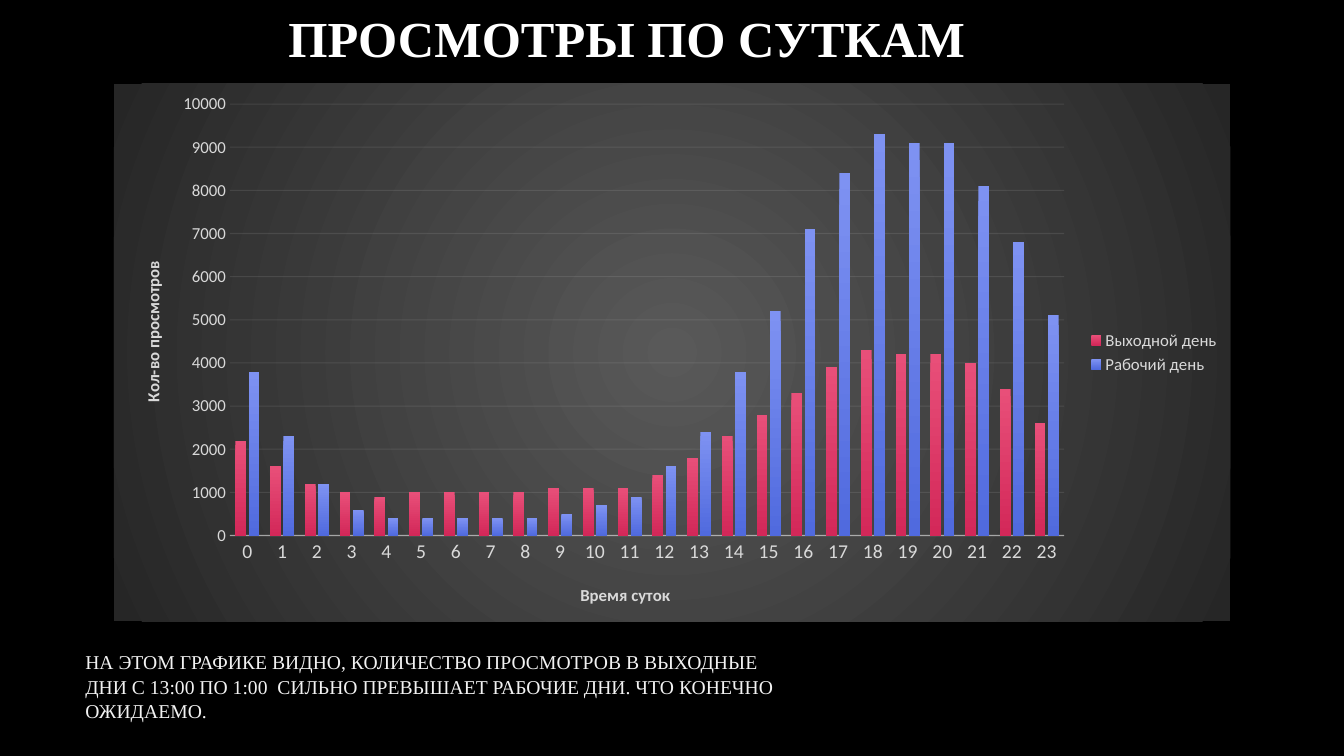
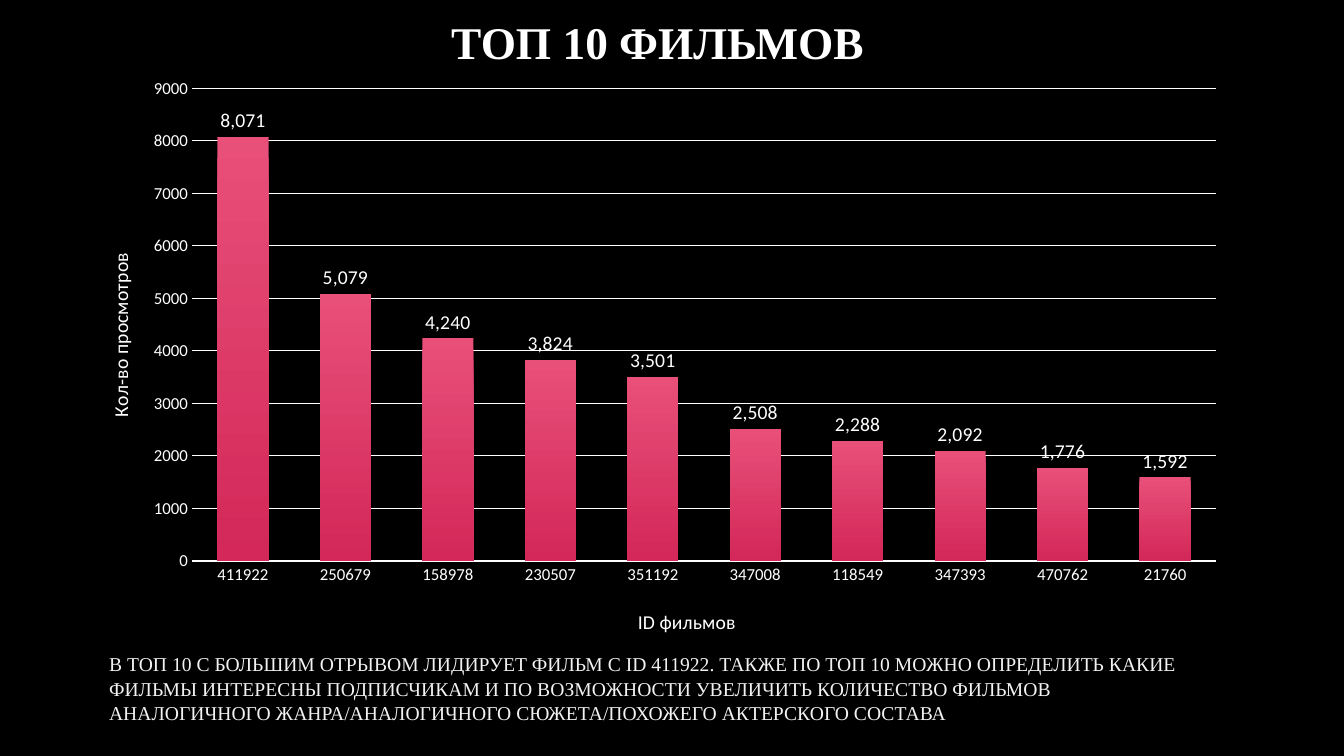
from dataclasses import dataclass
from typing import NamedTuple

from lxml.etree import SubElement
from pptx import Presentation
from pptx.chart.data import CategoryChartData
from pptx.dml.color import RGBColor
from pptx.enum.chart import XL_CHART_TYPE, XL_LABEL_POSITION, XL_LEGEND_POSITION, XL_TICK_MARK
from pptx.enum.text import MSO_ANCHOR, PP_ALIGN
from pptx.oxml import parse_xml
from pptx.oxml.ns import nsdecls, qn
from pptx.util import Cm, Pt


@dataclass(frozen=True)
class Theme:
    background: str = "000000"
    title: str = "FFFFFF"
    caption: str = "F2F2F2"
    pink: tuple = ("E84F79", "D32859")
    blue: tuple = ("7E92F2", "506ADE")
    panel: tuple = ("595959", "262626")
    text_font: str = "Times New Roman"
    chart_font: str = "Calibri"
    caption_size: float = 14
    label_size: float = 12
    large_label_size: float = 14


THEME = Theme()


class ChartStyle(NamedTuple):
    """Look of one chart; places are fractions of the chart frame."""
    text: str
    line: str
    axis_alpha: int
    grid_alpha: int
    category_size: float
    title_size: float
    title_bold: bool
    maximum: int
    plot_place: tuple
    category_title_place: tuple
    value_title_place: tuple


HOURS_STYLE = ChartStyle("D9D9D9", "F2F2F2", 54, 10, THEME.large_label_size,
                         THEME.label_size, True, 10000,
                         (0.104, 0.038, 0.747, 0.803), (0.415, 0.925), (0.022, 0.324))
FILMS_STYLE = ChartStyle("FFFFFF", "FFFFFF", 100, 100, THEME.label_size,
                         THEME.large_label_size, False, 9000,
                         (0.1, 0.036, 0.88, 0.814), (0.48, 0.925), (0.024, 0.313))

HOURS = [str(hour) for hour in range(24)]
WEEKEND_VIEWS = [2200, 1600, 1200, 1000, 900, 1000, 1000, 1000, 1000, 1100, 1100, 1100,
                 1400, 1800, 2300, 2800, 3300, 3900, 4300, 4200, 4200, 4000, 3400, 2600]
WORKDAY_VIEWS = [3800, 2300, 1200, 600, 400, 400, 400, 400, 400, 500, 700, 900,
                 1600, 2400, 3800, 5200, 7100, 8400, 9300, 9100, 9100, 8100, 6800, 5100]
FILM_VIEWS = {"411922": 8071, "250679": 5079, "158978": 4240, "230507": 3824,
              "351192": 3501, "347008": 2508, "118549": 2288, "347393": 2092,
              "470762": 1776, "21760": 1592}


def style_font(font, name, size, color, bold=False):
    font.name = name
    font.size = Pt(size)
    font.bold = bold
    font.color.rgb = RGBColor.from_string(color)


# Page and text
def add_page(deck):
    page = deck.slides.add_slide(deck.slide_layouts[6])
    fill = page.background.fill
    fill.solid()
    fill.fore_color.rgb = RGBColor.from_string(THEME.background)
    return page


def add_text(page, place, text, size, color, bold=False, align=PP_ALIGN.LEFT, spacing=1.0):
    box = page.shapes.add_textbox(*map(Cm, place))
    frame = box.text_frame
    frame.word_wrap = True
    frame.vertical_anchor = MSO_ANCHOR.MIDDLE
    para = frame.paragraphs[0]
    para.alignment = align
    para.line_spacing = spacing
    span = para.add_run()
    span.text = text
    style_font(span.font, THEME.text_font, size, color, bold)


def add_title(page, place, text, size):
    add_text(page, place, text, size, THEME.title, True, PP_ALIGN.CENTER)


def add_caption(page, place, text):
    add_text(page, place, text, THEME.caption_size, THEME.caption, spacing=1.04)


# Chart parts
def set_layout(parent, position, place, inner=False):
    """Fix a chart part at fractions of the chart frame."""
    old = parent.find(qn("c:layout"))
    if old is not None:
        parent.remove(old)
    layout = parse_xml(f"<c:layout {nsdecls('c')}><c:manualLayout/></c:layout>")
    manual = layout[0]
    settings = [("layoutTarget", "inner")] if inner else []
    settings += [("xMode", "edge"), ("yMode", "edge")]
    settings += zip("xywh", place)
    for name, value in settings:
        SubElement(manual, qn(f"c:{name}")).set("val", str(value))
    parent.insert(position, layout)


def style_line(line, color, width, alpha):
    line.width = Pt(width)
    line.fill.solid()
    line.fill.fore_color.rgb = RGBColor.from_string(color)
    if alpha < 100:
        for node in line._get_or_add_ln().iter(qn("a:srgbClr")):
            SubElement(node, qn("a:alpha")).set("val", str(alpha * 1000))


def style_axis(axis, title, title_place, label_size, style, rotation):
    axis.major_tick_mark = axis.minor_tick_mark = XL_TICK_MARK.NONE
    style_font(axis.tick_labels.font, THEME.chart_font, label_size, style.text)
    axis_title = axis.axis_title
    span = axis_title.text_frame.paragraphs[0].add_run()
    span.text = title
    style_font(span.font, THEME.chart_font, style.title_size, style.text, style.title_bold)
    for body in axis_title._element.iter(qn("a:bodyPr")):
        body.set("rot", str(rotation * 60000))
    set_layout(axis_title._element, 1, title_place)


def fill_series(series, colors):
    fill = series.format.fill
    fill.gradient()
    fill.gradient_angle = 270
    for stop, color in zip(fill.gradient_stops, colors):
        stop.color.rgb = RGBColor.from_string(color)


def add_panel(chart):
    """Give the chart a background that darkens from its centre."""
    inside, outside = THEME.panel
    panel = parse_xml(
        f'<c:spPr {nsdecls("c", "a")}><a:gradFill><a:gsLst>'
        f'<a:gs pos="0"><a:srgbClr val="{inside}"/></a:gs>'
        f'<a:gs pos="100000"><a:srgbClr val="{outside}"/></a:gs></a:gsLst>'
        '<a:path path="circle"><a:fillToRect l="50000" t="50000" r="50000" b="50000"/>'
        '</a:path></a:gradFill><a:ln><a:noFill/></a:ln></c:spPr>')
    chart._chartSpace.find(qn("c:chart")).addnext(panel)


def add_legend(chart, style):
    chart.has_legend = True
    chart.legend.position = XL_LEGEND_POSITION.RIGHT
    chart.legend.include_in_layout = False
    style_font(chart.legend.font, THEME.chart_font, THEME.label_size, style.text)


def add_value_labels(plot, style):
    plot.has_data_labels = True
    labels = plot.data_labels
    labels.show_value = True
    labels.position = XL_LABEL_POSITION.OUTSIDE_END
    labels.number_format = "#,##0"
    labels.number_format_is_linked = False
    style_font(labels.font, THEME.chart_font, THEME.large_label_size, style.text)


def add_column_chart(page, place, categories, series_rows, category_title, style):
    data = CategoryChartData()
    data.categories = categories
    for name, values, _ in series_rows:
        data.add_series(name, values)
    chart = page.shapes.add_chart(XL_CHART_TYPE.COLUMN_CLUSTERED, *map(Cm, place), data).chart
    chart.has_title = False
    chart.has_legend = False
    style_font(chart.font, THEME.chart_font, 10, style.text)

    plot = chart.plots[0]
    plot.gap_width = 100
    plot.overlap = -24
    plot.vary_by_categories = False
    for series, (_, _, colors) in zip(plot.series, series_rows):
        fill_series(series, colors)

    style_axis(chart.category_axis, category_title, style.category_title_place,
               style.category_size, style, 0)
    style_line(chart.category_axis.format.line, style.line, 1, style.axis_alpha)
    value_axis = chart.value_axis
    style_axis(value_axis, "Кол-во просмотров", style.value_title_place,
               THEME.label_size, style, -90)
    value_axis.minimum_scale = 0
    value_axis.maximum_scale = style.maximum
    value_axis.major_unit = 1000
    value_axis.format.line.fill.background()
    style_line(value_axis.major_gridlines.format.line, style.line, 0.75, style.grid_alpha)
    set_layout(chart._chartSpace.find(".//" + qn("c:plotArea")), 0, style.plot_place, True)
    return chart


# Slides
def build_hours_page(deck):
    page = add_page(deck)
    add_title(page, (1.73, 0, 28.14, 1.9), "ПРОСМОТРЫ ПО СУТКАМ", 36)
    rows = [("Выходной день", WEEKEND_VIEWS, THEME.pink),
            ("Рабочий день", WORKDAY_VIEWS, THEME.blue)]
    chart = add_column_chart(page, (2.87, 2.11, 28.14, 13.54), HOURS, rows,
                             "Время суток", HOURS_STYLE)
    add_panel(chart)
    add_legend(chart, HOURS_STYLE)
    add_caption(page, (1.9, 16.33, 18.31, 1.9),
                "НА ЭТОМ ГРАФИКЕ ВИДНО, КОЛИЧЕСТВО ПРОСМОТРОВ В ВЫХОДНЫЕ ДНИ С 13:00 "
                "ПО 1:00  СИЛЬНО ПРЕВЫШАЕТ РАБОЧИЕ ДНИ. ЧТО КОНЕЧНО ОЖИДАЕМО.")


def build_films_page(deck):
    page = add_page(deck)
    add_title(page, (2.5, 0.33, 28.14, 1.45), "ТОП 10 ФИЛЬМОВ", 32.4)
    rows = [("Series 1", list(FILM_VIEWS.values()), THEME.pink)]
    chart = add_column_chart(page, (1.9, 1.7, 29.34, 14.63), list(FILM_VIEWS), rows,
                             "ID фильмов", FILMS_STYLE)
    add_value_labels(chart.plots[0], FILMS_STYLE)
    add_caption(page, (2.5, 16.61, 28.14, 1.45),
                "В ТОП 10 С БОЛЬШИМ ОТРЫВОМ ЛИДИРУЕТ ФИЛЬМ С ID 411922. ТАКЖЕ ПО ТОП 10 "
                "МОЖНО ОПРЕДЕЛИТЬ КАКИЕ ФИЛЬМЫ ИНТЕРЕСНЫ ПОДПИСЧИКАМ И ПО ВОЗМОЖНОСТИ "
                "УВЕЛИЧИТЬ КОЛИЧЕСТВО ФИЛЬМОВ АНАЛОГИЧНОГО ЖАНРА/АНАЛОГИЧНОГО "
                "СЮЖЕТА/ПОХОЖЕГО АКТЕРСКОГО СОСТАВА")


def main():
    deck = Presentation()
    deck.slide_width = Cm(33.87)
    deck.slide_height = Cm(19.05)
    build_hours_page(deck)
    build_films_page(deck)
    deck.save("out.pptx")


if __name__ == "__main__":
    main()
